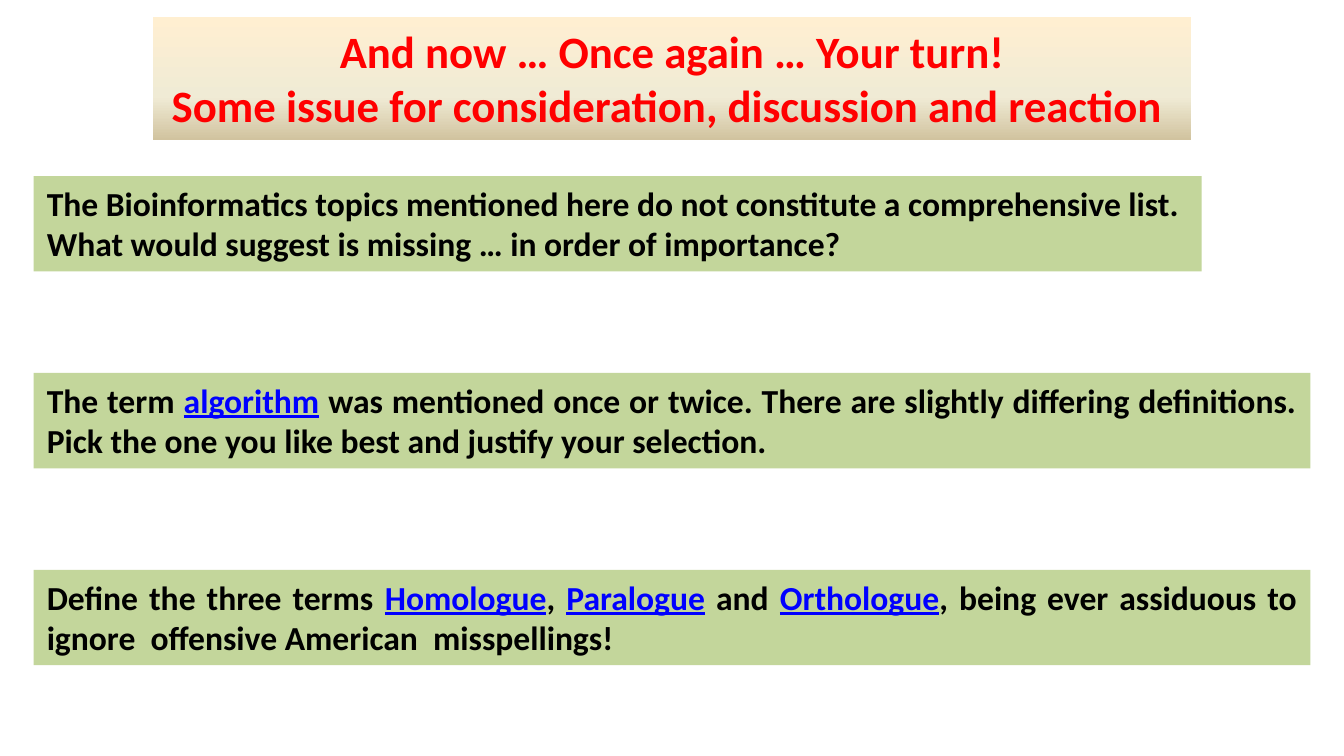
from copy import deepcopy
from pptx import Presentation
from pptx.dml.color import RGBColor
from pptx.enum.text import MSO_ANCHOR, PP_ALIGN
from pptx.util import Inches, Pt

HUES = {"title": "FF0000", "text": "000000", "term": "0000FF", "bar": "C3D69B"}
FADE = [(0, "FFEFD1"), (0.65, "F0EBD5"), (1, "D1C39F")]
WIDE = 10
HIGH = WIDE * 9 / 16

deck = Presentation()
deck.slide_width, deck.slide_height = Inches(WIDE), Inches(HIGH)
slide = deck.slides.add_slide(deck.slide_layouts[6])


def add_box(left, top, width, height, wrap):
    box = slide.shapes.add_textbox(*map(Inches, (left, top, width, height)))
    box.text_frame.word_wrap = wrap
    box.text_frame.vertical_anchor = MSO_ANCHOR.TOP
    return box


def add_text(box, lines, size, hue, align):
    """Fill a box; every second run of a line is an underlined term."""
    frame = box.text_frame
    for row, runs in enumerate(lines):
        para = frame.add_paragraph() if row else frame.paragraphs[0]
        para.alignment = align
        for spot, words in enumerate(runs):
            run = para.add_run()
            run.text = words
            font = run.font
            font.name, font.size, font.bold = "Calibri", Pt(size), True
            term = spot % 2 == 1
            font.underline = term
            font.color.rgb = RGBColor.from_string(HUES["term" if term else hue])


# Title, centred on the slide, with a three-stop fade from top to bottom
width = 7.72
title = add_box((WIDE - width) / 2, 0.13, width, 0.91, False)
fill = title.fill
fill.gradient()
fill.gradient_angle = 270
first = fill.gradient_stops[0]._element
first.addnext(deepcopy(first))
for stop, (place, hue) in zip(fill.gradient_stops, FADE):
    stop.position = place
    stop.color.rgb = RGBColor.from_string(hue)
add_text(title, [
    ["And now … Once again … Your turn!"],
    ["Some issue for consideration, discussion and reaction "],
], 24, "title", PP_ALIGN.CENTER)

# Question bars, evenly spaced down the slide
EDGE, TOP, LAST, TALL = 0.25, 1.31, 4.24, 0.71
FULL = WIDE - 2 * EDGE
bars = [
    (8.69, False, PP_ALIGN.LEFT, [
        ["The Bioinformatics topics mentioned here do not constitute a comprehensive list."],
        ["What would suggest is missing … in order of importance?"],
    ]),
    (FULL, True, PP_ALIGN.JUSTIFY, [[
        "The term ", "algorithm",
        " was mentioned once or twice. There are slightly differing definitions. "
        "Pick the one you like best and justify your selection.",
    ]]),
    (FULL, True, PP_ALIGN.JUSTIFY, [[
        "Define the three terms ", "Homologue", ", ", "Paralogue", " and ", "Orthologue",
        ", being ever assiduous to ignore  offensive American  misspellings!",
    ]]),
]
step = (LAST - TOP) / (len(bars) - 1)
for row, (width, wrap, align, lines) in enumerate(bars):
    bar = add_box(EDGE, TOP + row * step, width, TALL, wrap)
    bar.fill.solid()
    bar.fill.fore_color.rgb = RGBColor.from_string(HUES["bar"])
    add_text(bar, lines, 18, "text", align)

deck.save("out.pptx")
